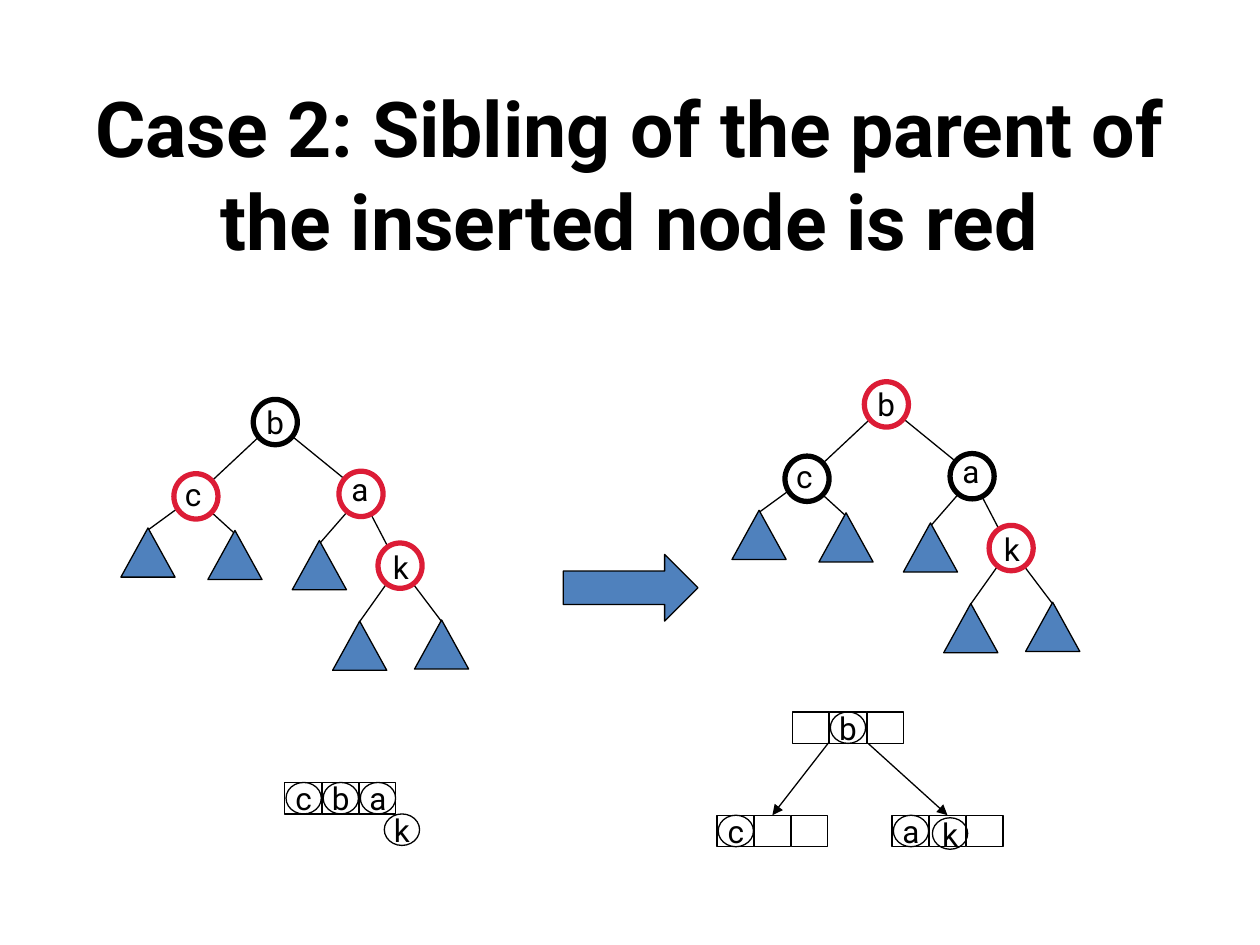
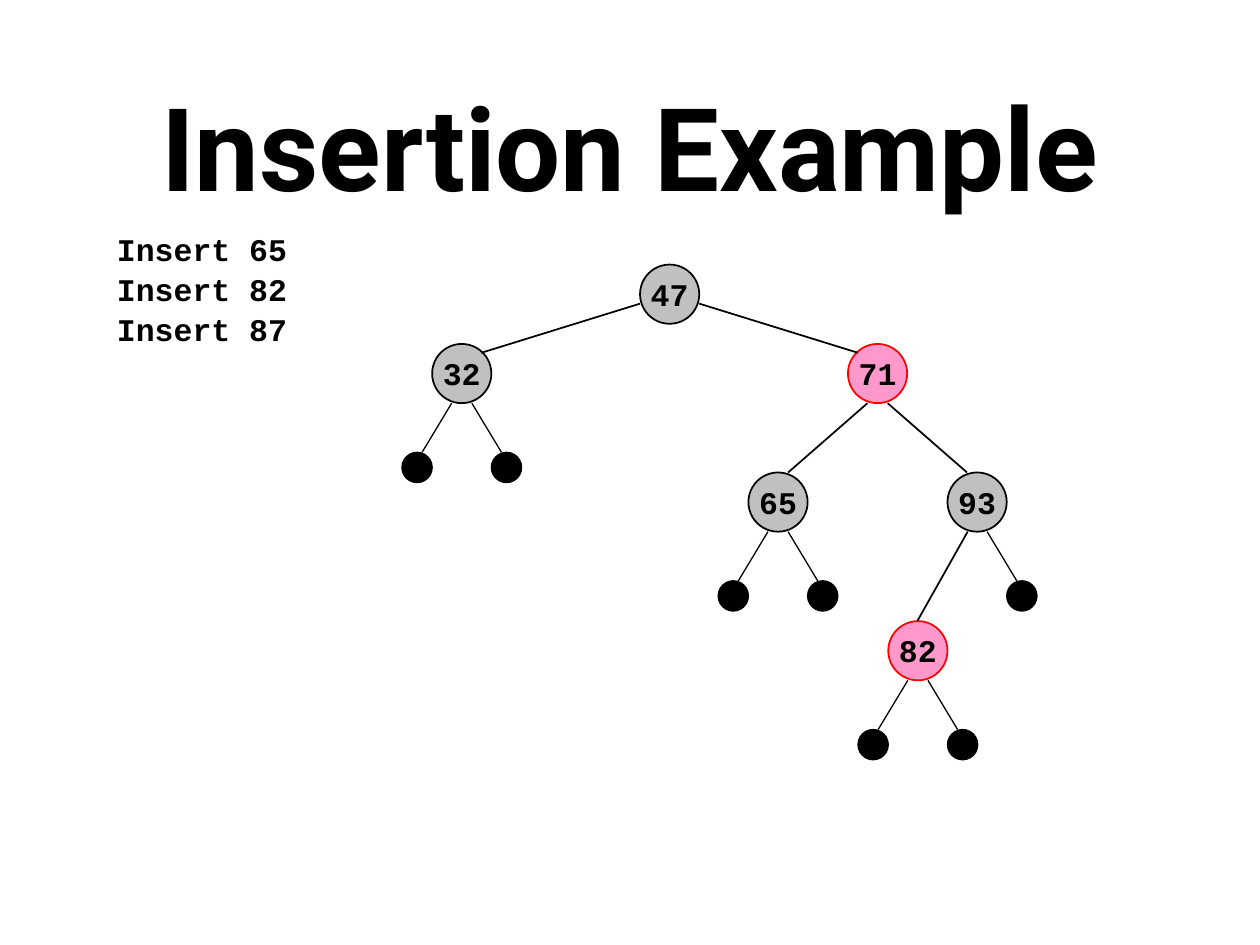
"""Build two slides on red-black tree insertion."""
from lxml.etree import SubElement
from pptx import Presentation
from pptx.dml.color import RGBColor
from pptx.enum.shapes import MSO_CONNECTOR, MSO_SHAPE
from pptx.enum.text import MSO_ANCHOR, PP_ALIGN
from pptx.oxml.ns import qn
from pptx.util import Inches, Pt

BLACK, WHITE, RED, BLUE = "000000", "FFFFFF", "DC1C36", "4F81BD"
GRAY, PINK, BRIGHT = "C0C0C0", "FF99CC", "FF0000"
SANS, MONO = "Roboto", "Courier New"
COLS, ROWS = 100, 75
LEFT, MID = PP_ALIGN.LEFT, PP_ALIGN.CENTER


def tint(code):
    return RGBColor.from_string(code)


class Pen:
    """Hold the style and the current slide."""

    def __init__(self):
        self.deck = Presentation()
        self.deck.slide_width, self.deck.slide_height = Inches(10), Inches(7.5)

    def page(self, title, size, top):
        self.slide = self.deck.slides.add_slide(self.deck.slide_layouts[6])
        self.label(title, 5, top, 90, 12.5, size=size, bold=True,
                   align=MID, anchor=MSO_ANCHOR.MIDDLE, wrap=True)

    def grid(self, x, y):
        return (round(x * self.deck.slide_width / COLS),
                round(y * self.deck.slide_height / ROWS))

    def letter(self, frame, text, font=SANS, size=18, bold=False,
               align=MID, anchor=MSO_ANCHOR.MIDDLE, wrap=False):
        frame.word_wrap, frame.vertical_anchor = wrap, anchor
        para = frame.paragraphs[0]
        para.text, para.alignment = text, align
        face = para.font
        face.name, face.size, face.bold = font, Pt(size), bold
        face.color.rgb = tint(BLACK)

    def label(self, text, x, y, w, h, inset=None, **style):
        frame = self.slide.shapes.add_textbox(
            *self.grid(x, y), *self.grid(w, h)).text_frame
        if inset is not None:
            frame.margin_left = frame.margin_right = Inches(inset)
            frame.margin_top = frame.margin_bottom = 0
        self.letter(frame, text, **style)

    def shape(self, kind, x, y, w, h, fill=None, line=BLACK, width=0.75,
              text=None):
        item = self.slide.shapes.add_shape(
            kind, *self.grid(x, y), *self.grid(w, h))
        item.shadow.inherit = False
        if fill:
            item.fill.solid()
            item.fill.fore_color.rgb = tint(fill)
        else:
            item.fill.background()
        item.line.color.rgb, item.line.width = tint(line), Pt(width)
        if text:
            self.letter(item.text_frame, text)
        return item

    def line(self, x, y, to_x, to_y, width=0.75, goal=None):
        item = self.slide.shapes.add_connector(
            MSO_CONNECTOR.STRAIGHT, *self.grid(x, y), *self.grid(to_x, to_y))
        item.line.color.rgb, item.line.width = tint(BLACK), Pt(width)
        props = item._element.spPr
        if goal is not None:
            item.end_connect(goal, 0)
            SubElement(props.find(qn("a:ln")), qn("a:tailEnd"), type="triangle")
        SubElement(props, qn("a:effectLst"))

    def ring(self, x, y, color, text=None):
        self.shape(MSO_SHAPE.OVAL, x, y, 3.5, 3.6, WHITE, color, 3, text)

    def ball(self, text, x, y):
        self.shape(MSO_SHAPE.OVAL, x, y, 2.8, 2.5, text=text)

    def cells(self, x, y):
        return [self.shape(MSO_SHAPE.RECTANGLE, x + 2.95 * i, y, 2.9, 2.5)
                for i in range(3)]

    def tree(self, dx, dy, hues):
        for x, y, to_x, to_y in (
                (21.8, 33.5, 28.8, 39.2), (21.8, 33.5, 15.6, 39.3),
                (15.4, 39.4, 18.8, 42.5), (15.4, 39.4, 11.7, 42.1),
                (31.7, 44.9, 35.1, 49.4), (31.7, 44.9, 28.5, 49.4),
                (28.6, 39.2, 31.1, 44), (28.8, 39.2, 25.4, 43.1)):
            self.line(x + dx, y + dy, to_x + dx, to_y + dy)
        self.ring(20.1 + dx, 31.7 + dy, hues["b"], "b")
        for name, x, y, text_x, text_y in (
                ("c", 13.8, 37.6, 13.7, 37.2), ("a", 26.9, 37.4, 26.9, 36.8),
                ("k", 30, 43.1, 30.2, 43)):
            self.ring(x + dx, y + dy, hues[name])
            self.label(name, text_x + dx, text_y + dy, 3.3, 4,
                       align=LEFT, anchor=MSO_ANCHOR.TOP)
        for x, y in ((23.2, 42.9), (16.5, 42.1), (9.6, 41.9),
                     (26.4, 49.3), (32.9, 49.2)):
            self.shape(MSO_SHAPE.FLOWCHART_EXTRACT, x + dx, y + dy,
                       4.3, 3.9, BLUE)

    def node(self, text, x, y, fill=GRAY, line=BLACK):
        self.shape(MSO_SHAPE.OVAL, x - 2.35, y, 4.7, 4.7, fill, line, 1)
        self.label(text, x - 2.35, y + 0.8, 4.7, 3, inset=0.02,
                   font=MONO, bold=True)

    def leaf(self, x, y, side):
        self.line(x + 0.8 * side, y + 4.7, x + 3.15 * side, y + 8.6)
        self.shape(MSO_SHAPE.OVAL, x + 3.55 * side - 1.2, y + 8.6,
                   2.4, 2.4, BLACK)


def recolor(pen):
    pen.page("Case 2: Sibling of the parent of the inserted node is red", 44, 7.5)
    pen.tree(0, 0, dict(b=BLACK, c=RED, a=RED, k=RED))
    pen.shape(MSO_SHAPE.RIGHT_ARROW, 44.7, 44, 10.7, 5.3, BLUE)
    pen.tree(48.5, -1.4, dict(b=RED, c=BLACK, a=BLACK, k=RED))
    pen.cells(22.6, 62.1)
    right = pen.cells(70.8, 64.7)
    left = pen.cells(56.9, 64.7)
    pen.line(65.8, 58.9, 61.4, 64.7, goal=left[1])
    pen.line(68.9, 59, 75.3, 64.7, goal=right[1])
    for i, name in enumerate("cba"):
        pen.ball(name, 22.7 + 2.95 * i, 62.1)
    for name, x, y in (("k", 30.5, 64.6), ("k", 74, 64.9), ("a", 70.9, 64.7),
                       ("b", 65.9, 56.5), ("c", 57, 64.7)):
        pen.ball(name, x, y)
    pen.cells(62.9, 56.5)


def insert(pen):
    pen.page("Insertion Example", 66, 5.3)
    for i, key in enumerate((65, 82, 87)):
        pen.label(f"Insert {key}", 8.3, 17.8 + 3.15 * i, 26, 4, font=MONO,
                  bold=True, align=LEFT, anchor=MSO_ANCHOR.TOP, wrap=True)
    spots = {"47": (53.15, 21), "32": (36.65, 27.3), "71": (69.65, 27.3),
             "65": (61.75, 37.5), "93": (77.55, 37.5), "82": (72.85, 49.3)}
    for key, (x, y) in spots.items():
        hues = (PINK, BRIGHT) if key in ("71", "82") else (GRAY, BLACK)
        pen.node(key, x, y, *hues)
    for side in (-1, 1):
        x, y = spots["47"]
        pen.line(x + 2.35 * side, y + 3.1, x + 14.95 * side, y + 7, 1)
        x, y = spots["71"]
        pen.line(x + 0.8 * side, y + 4.7, x + 7.1 * side, y + 10.2, 1)
        for key in ("32", "65", "82"):
            pen.leaf(*spots[key], side)
    pen.line(72.8, 49.3, 76.8, 42.2, 1)
    pen.leaf(*spots["93"], 1)


def main():
    pen = Pen()
    recolor(pen)
    insert(pen)
    pen.deck.save("out.pptx")


if __name__ == "__main__":
    main()
